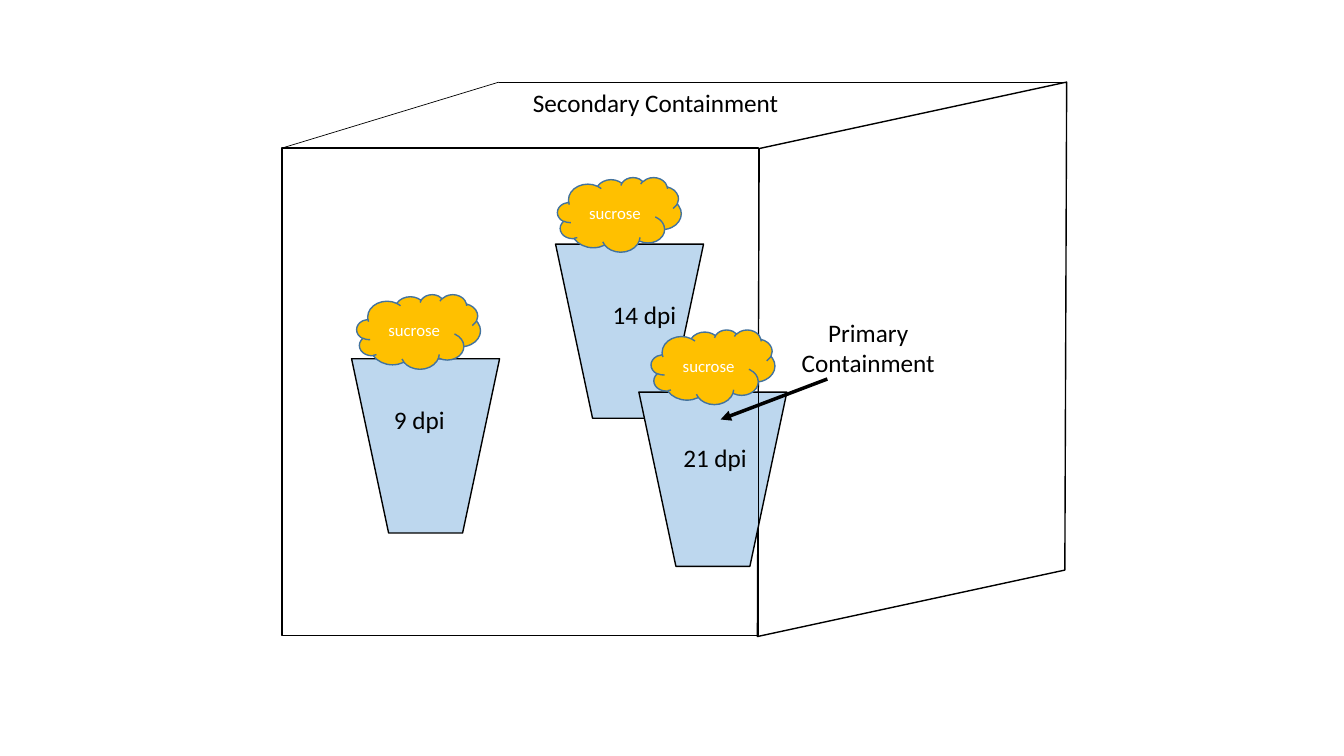
"""Draw a containment diagram: three sucrose-topped cups inside a box."""
from lxml import etree
from pptx import Presentation
from pptx import util as u
from pptx.dml.color import RGBColor
from pptx.enum import shapes, text
from pptx.oxml.ns import qn

SIZE = (33.87, 19.05)
FRONT = (7.11, 3.73, 12.01, 12.29)
SIDE = (17.7, 3.05, 10.57, 12.01)
SIDE_TILT = 347.8
ROOF = [(7.11, 3.73), (12.57, 2.07), (26.82, 2.07)]
ARROW = [(20.85, 9.55), (18.16, 10.57)]
CUP_SIZE = (3.73, 4.39)
CLOUD_SIZE = (3.12, 1.88)
CUPS = [
    {"cup": (8.86, 9.04), "cloud": (8.99, 7.42)},
    {"cup": (14.0, 6.15), "cloud": (14.05, 4.47)},
    {"cup": (16.1, 9.88), "cloud": (16.41, 8.31)},
]
TOPPING = "sucrose"
LABELS = [
    ("Primary Containment", (19.43, 7.87, 4.9, 1.8), "CENTER"),
    ("Secondary Containment", (13.18, 2.08, 7.98, 1.02), "LEFT"),
    ("9 dpi", (9.68, 10.06, 2.11, 1.02), "LEFT"),
    ("21 dpi", (16.97, 11.02, 2.95, 1.02), "LEFT"),
    ("14 dpi", (15.19, 7.42, 2.95, 1.02), "LEFT"),
]
BLACK, WHITE, BLUE, GOLD, EDGE = "000000", "FFFFFF", "BDD7EE", "FFC000", "43739E"
FONT = "Calibri"


def rgb(code):
    return RGBColor.from_string(code)


def cm(values):
    return [u.Cm(v) for v in values]


def write(sp, words, size, color, align):
    tf = sp.text_frame
    tf.word_wrap = True
    p = tf.paragraphs[0]
    p.alignment = text.PP_ALIGN[align]
    r = p.add_run()
    r.text = words
    for key, value in {"name": FONT, "size": u.Pt(size)}.items():
        setattr(r.font, key, value)
    r.font.color.rgb = rgb(color)


def add_outline(s, kind, box, fill=None, line=BLACK, rotation=0):
    sp = s.shapes.add_shape(shapes.MSO_SHAPE[kind], *cm(box))
    sp.shadow.inherit = False
    sp.rotation = rotation
    if fill:
        sp.fill.solid()
        sp.fill.fore_color.rgb = rgb(fill)
    else:
        sp.fill.background()
    sp.line.color.rgb = rgb(line)
    sp.line.width = u.Pt(1)
    return sp


def add_line(s, start, end, width, head=False):
    c = s.shapes.add_connector(shapes.MSO_CONNECTOR.STRAIGHT, *cm(start + end))
    c.line.color.rgb = rgb(BLACK)
    c.line.width = u.Pt(width)
    if head:
        etree.SubElement(c.line._get_or_add_ln(), qn("a:tailEnd"), type="triangle")
    etree.SubElement(c._element.spPr, qn("a:effectLst"))


def main():
    prs = Presentation()
    prs.slide_width, prs.slide_height = cm(SIZE)
    s = prs.slides.add_slide(prs.slide_layouts[6])

    add_outline(s, "PARALLELOGRAM", SIDE, rotation=SIDE_TILT)
    for start, end in zip(ROOF, ROOF[1:]):
        add_line(s, start, end, 0.5)
    for cup in CUPS:
        add_outline(s, "TRAPEZOID", cup["cup"] + CUP_SIZE, BLUE, rotation=180)
    add_outline(s, "RECTANGLE", FRONT)

    for words, box, align in LABELS:
        write(s.shapes.add_textbox(*cm(box)), words, 18, BLACK, align)
    add_line(s, *ARROW, 2.5, head=True)
    for cup in CUPS:
        sp = add_outline(s, "CLOUD", cup["cloud"] + CLOUD_SIZE, GOLD, EDGE)
        sp.text_frame.vertical_anchor = text.MSO_ANCHOR.MIDDLE
        write(sp, TOPPING, 12, WHITE, "CENTER")

    prs.save("out.pptx")


if __name__ == "__main__":
    main()
